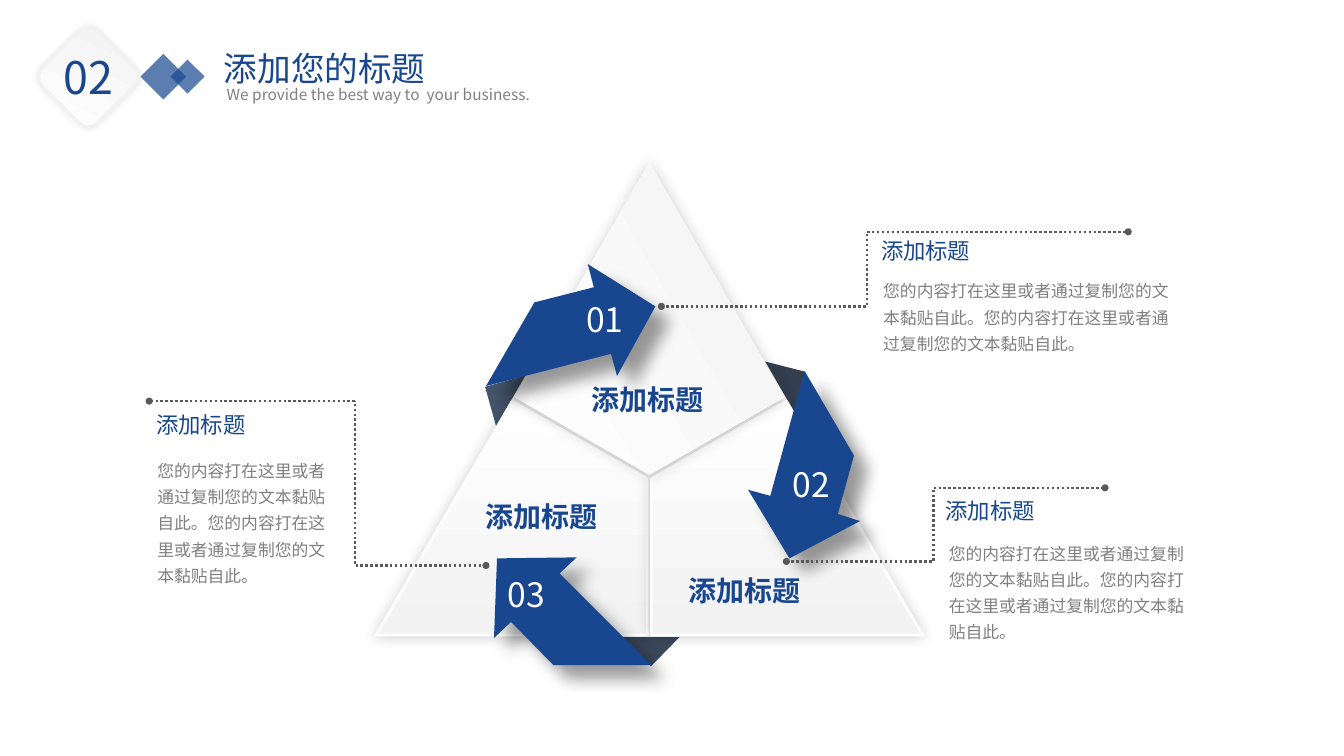
import pptx
import pptx.util
import pptx.dml.color
import pptx.enum.dml
import pptx.enum.shapes
import pptx.enum.text
import pptx.oxml
import pptx.oxml.ns
from dataclasses import dataclass

Inches = pptx.util.Inches
Shape = pptx.enum.shapes.MSO_SHAPE
Align = pptx.enum.text.PP_ALIGN


@dataclass(frozen=True)
class Theme:
    font: str = "Noto Sans CJK SC"
    blue: str = "18478F"
    gray: str = "808080"
    dot: str = "595959"
    white: str = "FFFFFF"
    pale: str = "F2F2F2"
    badge: int = 32
    title: int = 24
    label: int = 20
    heading: int = 16
    body: int = 12
    subtitle: int = 11


THEME = Theme()
HEADING = "添加标题"
BODY = "您的内容打在这里或者通过复制您的文本黏贴自此。" * 2


def rgb(color):
    return pptx.dml.color.RGBColor.from_string(color)


def element(tag, parent, **attributes):
    child = pptx.oxml.parse_xml(f"<a:{tag} {pptx.oxml.ns.nsdecls('a')}/>")
    for name, value in attributes.items():
        child.set(name, str(value))
    parent.append(child)
    return child


def style(shape, fill=None, gradient=None, line=None, width=2, shadow=None, alpha=None):
    """Fill, outline and shadow; shadow is (alpha, blur, distance, angle)."""
    if fill:
        shape.fill.solid()
        shape.fill.fore_color.rgb = rgb(fill)
    elif gradient is not None:
        shape.fill.gradient()
        shape.fill.gradient_angle = gradient
        for stop, color in zip(shape.fill.gradient_stops, (THEME.white, THEME.pale)):
            stop.color.rgb = rgb(color)
    else:
        shape.fill.background()
    if alpha:
        color = shape._element.spPr.find(".//" + pptx.oxml.ns.qn("a:srgbClr"))
        element("alpha", color, val=alpha * 1000)
    if line:
        shape.line.color.rgb = rgb(line)
        shape.line.width = pptx.util.Pt(width)
    else:
        shape.line.fill.background()
    shape.shadow.inherit = False
    if shadow:
        opacity, blur, distance, angle = shadow
        effects = shape._element.spPr.find(pptx.oxml.ns.qn("a:effectLst"))
        outer = element("outerShdw", effects, blurRad=blur * 12700, dist=distance * 12700,
                        dir=angle * 60000, algn="ctr", rotWithShape=0)
        element("alpha", element("srgbClr", outer, val="000000"), val=opacity * 1000)


def add_preset(page, kind, box, rotation=0, adjust=None, **look):
    shape = page.shapes.add_shape(kind, *map(Inches, box))
    shape.rotation = rotation
    if adjust is not None:
        shape.adjustments[0] = adjust
    style(shape, **look)
    return shape


def add_outline(page, points, close=True, **look):
    corners = [(Inches(x), Inches(y)) for x, y in points]
    builder = page.shapes.build_freeform(*corners[0], scale=1)
    builder.add_line_segments(corners[1:], close=close)
    shape = builder.convert_to_shape()
    style(shape, **look)
    return shape


def write(frame, text, size, color=THEME.blue, bold=False, align=Align.LEFT,
          spacing=None, inset=(0.1, 0.05)):
    frame.word_wrap = True
    frame.auto_size = pptx.enum.text.MSO_AUTO_SIZE.NONE
    frame.vertical_anchor = pptx.enum.text.MSO_ANCHOR.TOP
    frame.margin_left = frame.margin_right = Inches(inset[0])
    frame.margin_top = frame.margin_bottom = Inches(inset[1])
    para = frame.paragraphs[0]
    para.alignment = align
    if spacing:
        para.line_spacing = spacing
    span = para.add_run()
    span.text = text
    span.font.name = THEME.font
    span.font.size = pptx.util.Pt(size)
    span.font.bold = bold
    span.font.color.rgb = rgb(color)
    element("ea", span.font._element, typeface=THEME.font)


def add_text(page, box, text, size, **format):
    write(page.shapes.add_textbox(*map(Inches, box)).text_frame, text, size, **format)


def add_header(page, left, top):
    # Title and subtitle
    title = page.shapes.title
    title.left, title.top = Inches(left + 1.63), Inches(top + 0.05)
    title.width, title.height = Inches(3.25), Inches(0.5)
    write(title.text_frame, "添加您的标题", THEME.title)
    # Diamonds
    for x, y, side in ((0.97, 0.22, 0.32), (1.25, 0.26, 0.24)):
        add_preset(page, Shape.RECTANGLE, (left + x, top + y, side, side),
                   rotation=225, fill=THEME.blue, alpha=70)
    add_text(page, (left + 1.66, top + 0.41, 4.02, 0.29),
             "We provide the best way to  your business.", THEME.subtitle, color=THEME.gray)
    # Section badge
    add_preset(page, Shape.ROUNDED_RECTANGLE, (left, top, 0.77, 0.77), rotation=45,
               gradient=110, line=THEME.pale, shadow=(11, 5, 0, 0))
    add_text(page, (left + 0.04, top + 0.06, 0.73, 0.64), "02", THEME.badge)


def add_pyramid(page, center, apex):
    # Folded arrow tails
    for x, y, turn, color in ((-0.28, 4.71, 180, "3B485B"), (-1.79, 2.15, 300, "44546A"),
                              (1.13, 2.01, 60, "333F50")):
        add_preset(page, Shape.ISOSCELES_TRIANGLE, (center + x, apex + y, 0.58, 0.29),
                   rotation=turn, adjust=0.49, fill=color)
    # Lower panels, mirrored about the centre
    soft = (20, 10, 0, 0)
    for side in (-1, 1):
        panel = [(1.36, 2.37), (0.02, 3.14), (0.02, 4.69), (2.71, 4.69)]
        add_outline(page, [(center + side * x, apex + y) for x, y in panel],
                    gradient=270, line=THEME.white, shadow=soft)
    # Top panel
    kite = [(-1.34, 2.33), (0, 3.1), (1.34, 2.33), (0, 0)]
    add_outline(page, [(center + x, apex + y) for x, y in kite], gradient=30, shadow=soft)
    # Panel labels
    for x, y in ((-0.67, 2.14), (-1.72, 3.3), (0.29, 4.03)):
        add_text(page, (center + x, apex + y, 1.57, 0.44), HEADING, THEME.label, bold=True)


def add_arrow(page, points, number, left, top):
    add_outline(page, points, fill=THEME.blue, shadow=(40, 12, 14, 45))
    add_text(page, (left, top, 0.86, 0.5), number, THEME.title,
             color=THEME.white, align=Align.CENTER)


def add_callout(page, start, corner, end, heading, body, width, height):
    """Dotted leader from start, up at the corner, to end; then its text."""
    (x0, y0), (x1, y1) = start, end
    add_outline(page, [start, (corner, y0), (corner, y1)], close=False,
                line=THEME.dot, width=1.75).line.dash_style = pptx.enum.dml.MSO_LINE.ROUND_DOT
    leader = page.shapes.add_connector(pptx.enum.shapes.MSO_CONNECTOR.STRAIGHT,
                                       *map(Inches, (corner, y1, x1, y1)))
    leader.line.color.rgb = rgb(THEME.dot)
    leader.line.width = pptx.util.Pt(1.75)
    leader.line.dash_style = pptx.enum.dml.MSO_LINE.ROUND_DOT
    element("effectLst", leader._element.spPr)
    for x, y in (start, end):
        add_preset(page, Shape.OVAL, (x - 0.035, y - 0.035, 0.07, 0.07), fill=THEME.dot)
    add_text(page, (*heading, 1.4, 0.37), HEADING, THEME.heading)
    add_text(page, (*body, width, height), BODY, THEME.body, color=THEME.gray,
             spacing=1.3, inset=(0.07, 0.04))


def main():
    deck = pptx.Presentation()
    deck.slide_width, deck.slide_height = Inches(13.33), Inches(7.5)
    page = deck.slides.add_slide(deck.slide_layouts[5])
    add_header(page, 0.49, 0.38)
    add_pyramid(page, 6.44, 1.61)

    # Numbered arrows
    add_arrow(page, [(6.12, 3.73), (6.06, 3.51), (4.82, 3.83), (5.3, 3), (5.89, 2.85),
                     (5.83, 2.62), (6.5, 3.04)], "01", 5.57, 2.92)
    add_arrow(page, [(5.72, 5.53), (5.55, 5.69), (6.46, 6.6), (5.49, 6.6), (5.07, 6.17),
                     (4.9, 6.33), (4.93, 5.54)], "03", 4.79, 5.64)
    add_arrow(page, [(7.42, 4.86), (7.64, 4.92), (7.98, 3.68), (8.47, 4.52), (8.31, 5.1),
                     (8.53, 5.17), (7.83, 5.54)], "02", 7.62, 4.55)

    # Callouts
    add_callout(page, (4.82, 5.61), 3.52, (1.48, 3.98), (1.45, 4.03), (1.49, 4.47), 1.95, 1.65)
    add_callout(page, (6.56, 3.04), 8.6, (11.19, 2.3), (8.64, 2.3), (8.69, 2.69), 3.06, 1.13)
    add_callout(page, (7.8, 5.57), 9.26, (10.96, 4.84), (9.28, 4.88), (9.34, 5.29), 2.52, 1.39)
    deck.save("out.pptx")


if __name__ == "__main__":
    main()
